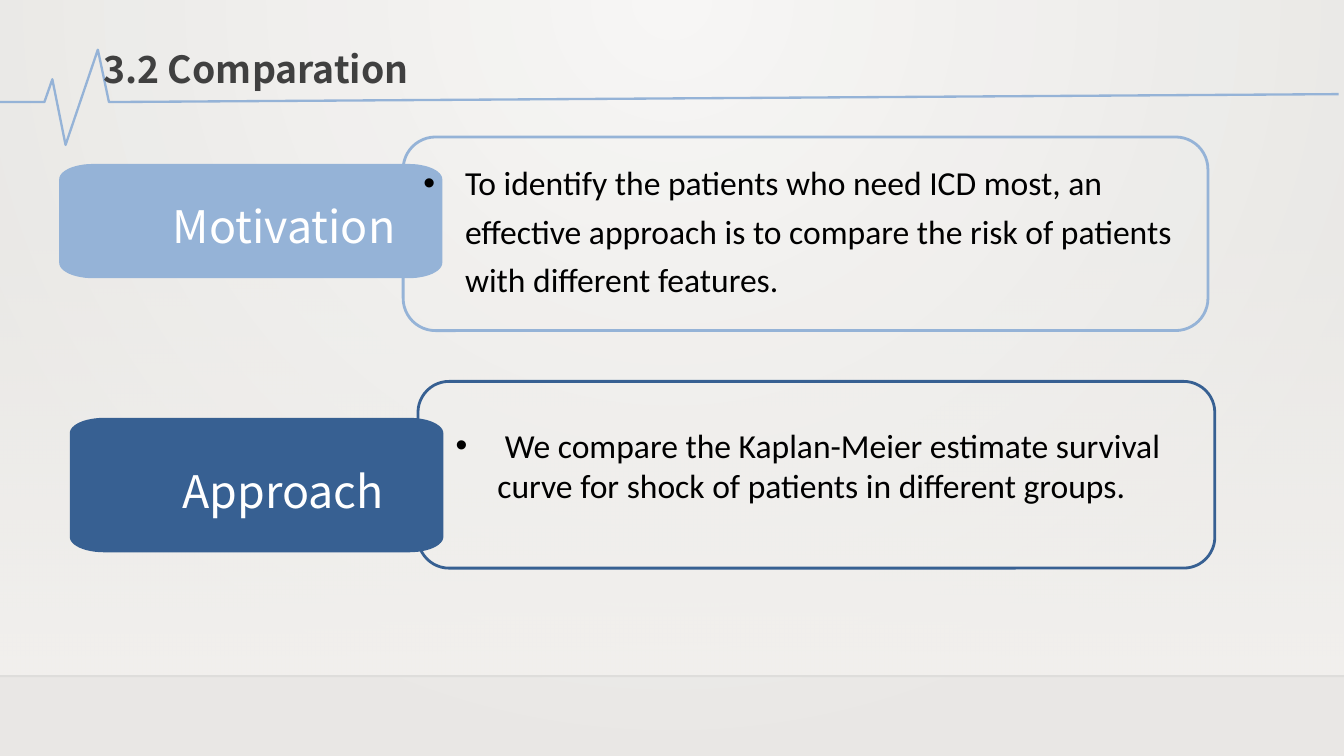
"""Build the comparison slide with its motivation and approach rows."""
from dataclasses import dataclass
from math import cos, pi, sin

from lxml.etree import SubElement
from pptx import Presentation
from pptx.dml.color import RGBColor as Rgb
from pptx.enum.shapes import MSO_CONNECTOR as Connector, MSO_SHAPE as Shape
from pptx.enum.text import MSO_ANCHOR as Anchor, MSO_AUTO_SIZE as AutoSize, PP_ALIGN as Align
from pptx.oxml import parse_xml
from pptx.oxml.ns import nsdecls, qn
from pptx.util import Cm, Pt

COLORS = {
    "light blue": "95B3D7", "dark blue": "376092", "white": "FFFFFF",
    "text": "000000", "title": "404040", "edge": "000001",
    "glow": "ECEAE7", "shade": "CAC7C1", "floor": "DFDBD5",
}
HEADING_FONT, BODY_FONT = "Noto Sans CJK SC", "Calibri"
WIDTH, HEIGHT = 25.4, 14.29
WALL_TOP, FLOOR_TOP = 4.22, 12.78
PULSE = [(0, 1.93), (0.84, 1.93), (0.99, 1.5), (1.24, 2.74),
         (1.85, 0.94), (2.06, 1.93), (25.3, 1.78)]
CORNER_WIDTH, CORNER_HEIGHT, CORNER_STEPS = 0.64, 0.29, 12


@dataclass(frozen=True)
class Box:
    left: float
    top: float
    width: float
    height: float

    def lengths(self) -> tuple:
        return Cm(self.left), Cm(self.top), Cm(self.width), Cm(self.height)


@dataclass(frozen=True)
class Topic:
    heading: str
    detail: str
    color: str
    panel: Box
    pill: Box
    heading_box: Box
    detail_box: Box
    line_spacing: float


TOPICS = [
    Topic("Motivation",
          "To identify the patients who need ICD most, an effective approach is to "
          "compare the risk of patients with different features.",
          "light blue", Box(7.62, 2.59, 15.21, 3.66), Box(1.12, 3.1, 7.24, 2.16),
          Box(3.02, 3.63, 4.95, 1.27), Box(7.75, 2.79, 15.06, 2.95), 1.2),
    Topic("Approach",
          " We compare the Kaplan-Meier estimate survival curve for shock of "
          "patients in different groups.",
          "dark blue", Box(7.9, 7.21, 15.06, 3.53), Box(1.32, 7.9, 7.06, 2.54),
          Box(3.2, 8.64, 5.79, 1.27), Box(8.36, 7.9, 14.3, 1.8), 1.0),
]


def rgb(name: str) -> Rgb:
    return Rgb.from_string(COLORS[name])


def set_opacity(element, percent: int) -> None:
    color = element.find(".//" + qn("a:srgbClr"))
    SubElement(color, qn("a:alpha"), val=str(percent * 1000))


def set_gradient(owner, element, stops: list, direction: str) -> None:
    owner.fill.background()
    stop_xml = "".join(
        f'<a:gs pos="{position * 1000}"><a:srgbClr val="{COLORS[name]}">'
        f'<a:alpha val="{opacity * 1000}"/></a:srgbClr></a:gs>'
        for position, name, opacity in stops)
    no_fill = element.find(".//" + qn("a:noFill"))
    no_fill.getparent().replace(no_fill, parse_xml(
        f'<a:gradFill {nsdecls("a")} rotWithShape="1"><a:gsLst>{stop_xml}</a:gsLst>'
        f'{direction}</a:gradFill>'))


def add_plain_shape(slide, kind: Shape, box: Box):
    shape = slide.shapes.add_shape(kind, *box.lengths())
    shape.shadow.inherit = False
    shape.fill.background()
    shape.line.fill.background()
    return shape


def add_outline(slide, points: list, close: bool):
    start, *rest = [(Cm(x), Cm(y)) for x, y in points]
    builder = slide.shapes.build_freeform(*start)
    builder.add_line_segments(rest, close=close)
    outline = builder.convert_to_shape()
    outline.shadow.inherit = False
    return outline


def pill_points(box: Box) -> list:
    center_x, center_y = box.left + box.width / 2, box.top + box.height / 2
    reach_x, reach_y = box.width / 2 - CORNER_WIDTH, box.height / 2 - CORNER_HEIGHT
    points = []
    for quarter, (side_x, side_y) in enumerate([(1, 1), (-1, 1), (-1, -1), (1, -1)]):
        for step in range(CORNER_STEPS + 1):
            angle = (quarter + step / CORNER_STEPS) * pi / 2
            points.append((center_x + side_x * reach_x + CORNER_WIDTH * cos(angle),
                           center_y + side_y * reach_y + CORNER_HEIGHT * sin(angle)))
    return points


def style_font(paragraph, font_name: str, size: int, color: str, bold: bool = False) -> None:
    font = paragraph.font
    font.name, font.size, font.bold = font_name, Pt(size), bold
    font.color.rgb = rgb(color)


def add_text(slide, text: str, box: Box):
    frame = slide.shapes.add_textbox(*box.lengths()).text_frame
    frame.word_wrap = True
    frame.text = text
    return frame.paragraphs[0]


def add_bullet(paragraph) -> None:
    properties = paragraph._p.get_or_add_pPr()
    indent = Cm(0.79)
    properties.set("marL", str(indent))
    properties.set("indent", str(-indent))
    SubElement(properties, qn("a:buFont"), typeface="Arial")
    SubElement(properties, qn("a:buChar"), char="•")


def draw_backdrop(slide) -> None:
    set_gradient(slide.background, slide.element, [(0, "glow", 100), (100, "shade", 100)],
                 '<a:path path="circle">'
                 '<a:fillToRect l="43000" t="0" r="43000" b="100000"/></a:path>')
    wall = add_plain_shape(slide, Shape.RECTANGLE,
                           Box(0, WALL_TOP, WIDTH, FLOOR_TOP - WALL_TOP))
    set_gradient(wall, wall.element, [(0, "floor", 0), (100, "floor", 100)],
                 '<a:lin ang="5400000" scaled="0"/>')

    floor_edge = slide.shapes.add_connector(
        Connector.STRAIGHT, Cm(0), Cm(FLOOR_TOP), Cm(WIDTH), Cm(FLOOR_TOP))
    floor_edge.line.color.rgb = rgb("edge")
    floor_edge.line.width = Pt(1)
    set_opacity(floor_edge.element, 20)
    SubElement(floor_edge.element.spPr, qn("a:effectLst"))

    veil = add_plain_shape(slide, Shape.RECTANGLE, Box(0, 0, WIDTH, HEIGHT))
    veil.fill.solid()
    veil.fill.fore_color.rgb = rgb("white")
    set_opacity(veil.element, 59)

    pulse = add_outline(slide, PULSE, close=False)
    pulse.fill.background()
    pulse.line.color.rgb = rgb("light blue")
    pulse.line.width = Pt(1.25)


def draw_title(slide, text: str, box: Box) -> None:
    title = slide.shapes.title
    title.left, title.top, title.width, title.height = box.lengths()
    frame = title.text_frame
    frame.text = text
    frame.word_wrap = False
    frame.auto_size = AutoSize.NONE
    frame.vertical_anchor = Anchor.TOP
    frame.paragraphs[0].alignment = Align.CENTER
    style_font(frame.paragraphs[0], HEADING_FONT, 20, "title", bold=True)
    title.element.getparent().append(title.element)


def draw_topic(slide, topic: Topic) -> None:
    panel = add_plain_shape(slide, Shape.ROUNDED_RECTANGLE, topic.panel)
    panel.line.color.rgb = rgb(topic.color)
    panel.line.width = Pt(1.5)

    pill = add_outline(slide, pill_points(topic.pill), close=True)
    pill.fill.solid()
    pill.fill.fore_color.rgb = rgb(topic.color)
    pill.line.fill.background()

    heading = add_text(slide, topic.heading, topic.heading_box)
    style_font(heading, HEADING_FONT, 24, "white")
    detail = add_text(slide, topic.detail, topic.detail_box)
    add_bullet(detail)
    detail.line_spacing = topic.line_spacing
    style_font(detail, BODY_FONT, 18, "text")


def main() -> None:
    deck = Presentation()
    deck.slide_width, deck.slide_height = Cm(WIDTH), Cm(HEIGHT)
    slide = deck.slides.add_slide(deck.slide_layouts[5])
    draw_backdrop(slide)
    draw_title(slide, "3.2 Comparation", Box(1.6, 0.74, 6.48, 1.12))
    for topic in TOPICS:
        draw_topic(slide, topic)
    deck.save("out.pptx")


if __name__ == "__main__":
    main()
